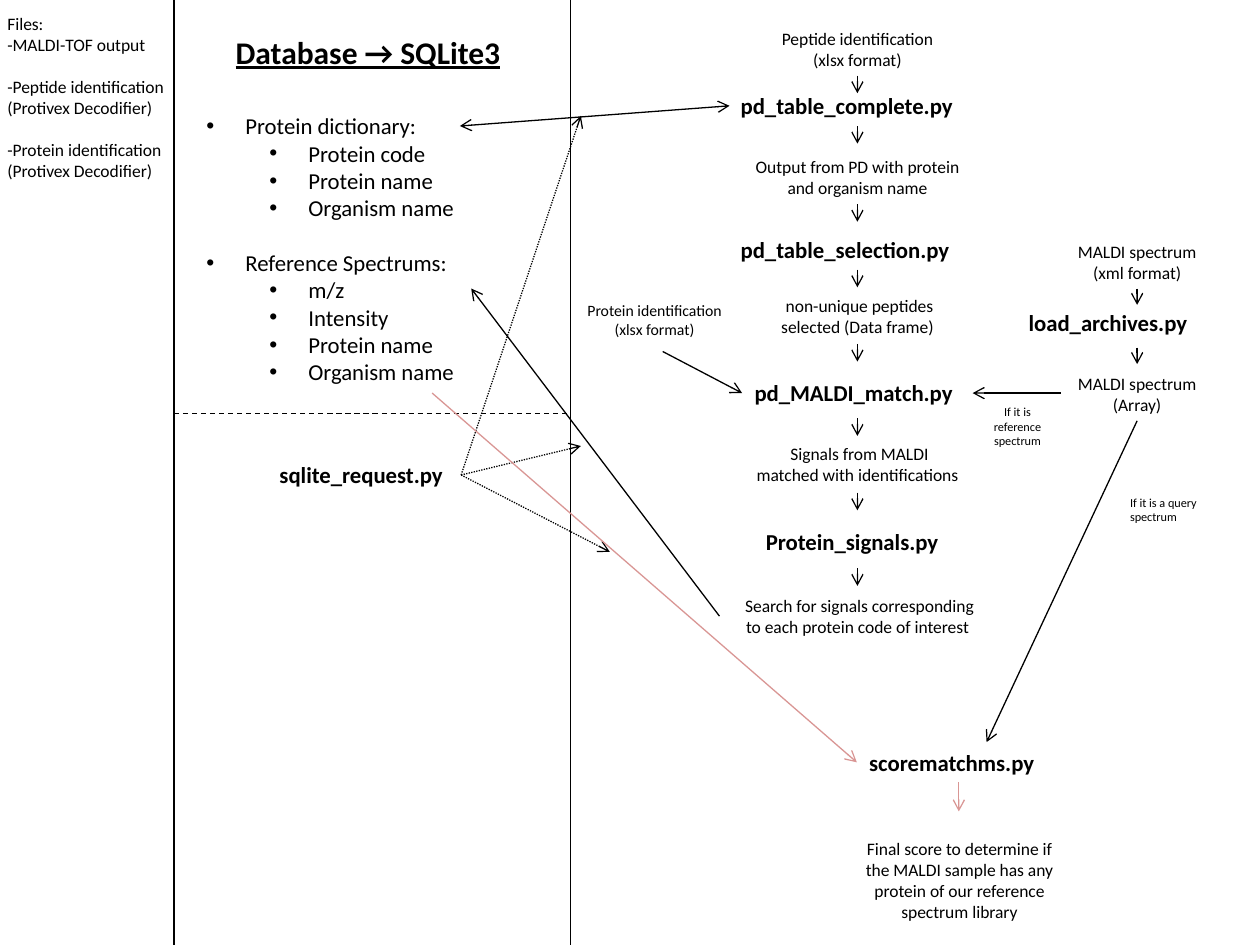
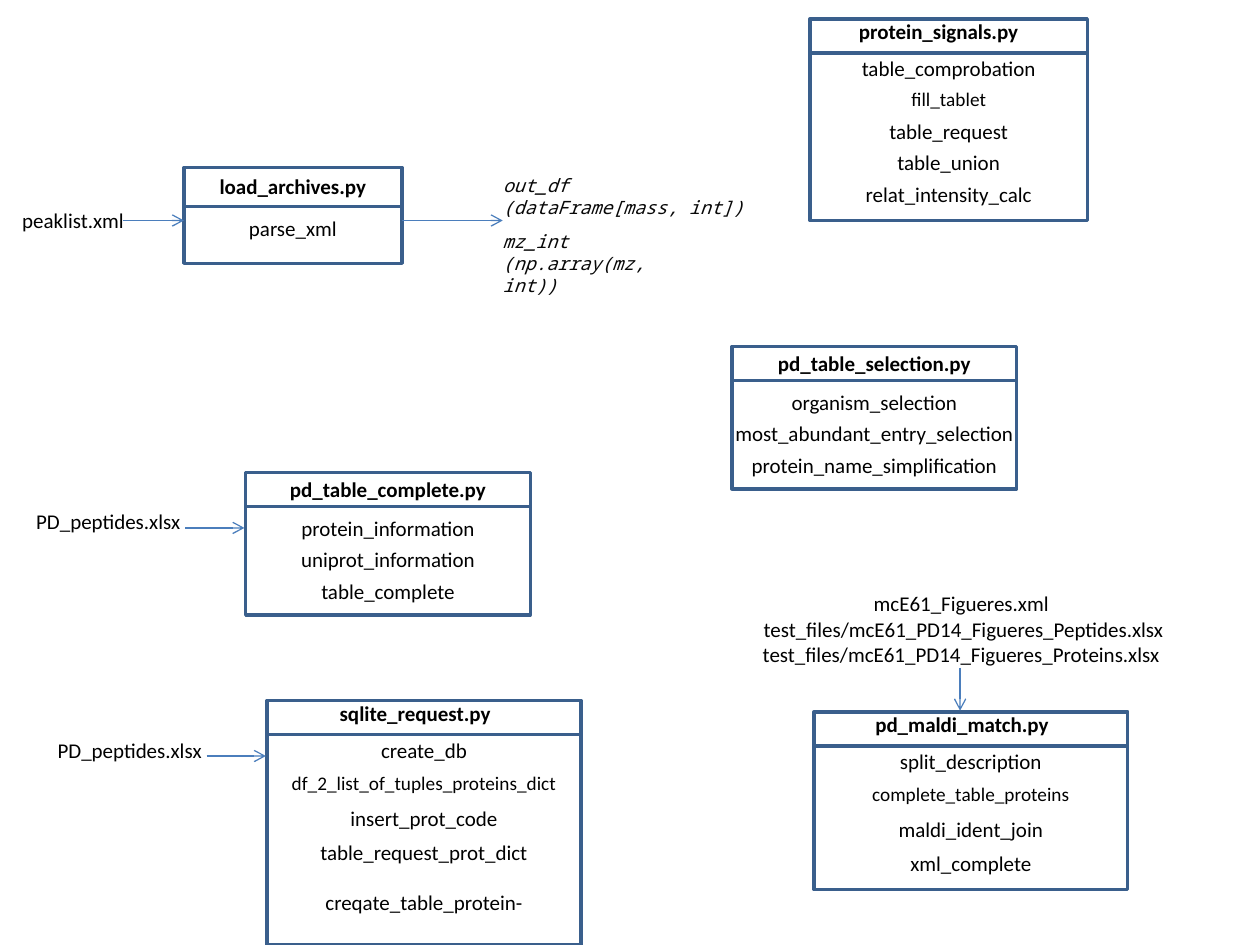
from dataclasses import dataclass
from lxml.etree import SubElement as Sub
from pptx import Presentation
from pptx.dml.color import RGBColor as Rgb
from pptx.enum.dml import MSO_LINE as Dash
from pptx.enum.shapes import MSO_CONNECTOR as Link, MSO_SHAPE as Form
from pptx.enum.text import MSO_ANCHOR as Anchor, MSO_AUTO_SIZE as Fit, PP_ALIGN as Align
from pptx.oxml.ns import qn
from pptx.util import Inches, Pt


@dataclass(frozen=True)
class Style:
    """Look of one kind of text."""
    size: float
    bold: bool = False
    align: Align = Align.CENTER
    face: str = "Calibri"
    hue: str = "000000"
    slant: bool = False


@dataclass(frozen=True)
class Theme:
    """Colours, line widths and type of the deck."""
    ink: str = "000000"
    rose: str = "D99694"
    frame: str = "3A5F8C"
    flow: str = "4B7EBC"
    thin: float = 0.75
    thick: float = 2
    head: Style = Style(18, True, Align.LEFT)
    code: Style = Style(13, True, Align.LEFT)
    item: Style = Style(13, align=Align.LEFT)
    note: Style = Style(10)
    side: Style = Style(10, align=Align.LEFT)
    small: Style = Style(9)
    tiny: Style = Style(7)
    hint: Style = Style(7, align=Align.LEFT)
    title: Style = Style(12, True)
    plain: Style = Style(12)
    less: Style = Style(11)
    mono: Style = Style(10.5, False, Align.LEFT, "Noto Sans Mono", "080808", True)


LOOK = Theme()
WIDE, HIGH = Inches(10), Inches(7.5)
COLS, ROWS = 10, 7.5


def grid(x, y):
    """Turn columns and rows into slide lengths."""
    return round(x * WIDE / COLS), round(y * HIGH / ROWS)


def dress(frame, style):
    """Format every paragraph of a text frame."""
    for para in frame.paragraphs:
        para.alignment = style.align
        for run in para.runs:
            font = run.font
            font.name, font.size = style.face, Pt(style.size)
            font.bold, font.italic = style.bold, style.slant
            font.color.rgb = Rgb.from_string(style.hue)


def label(host, text, style, box, wrap=True, pad=True):
    """Add a text box in grid units and return its frame."""
    x, y, w, h = box
    frame = host.add_textbox(*grid(x, y), *grid(w, h)).text_frame
    frame.word_wrap = wrap
    if not pad:
        frame.margin_left = frame.margin_right = 0
        frame.margin_top = frame.margin_bottom = 0
    frame.text = text
    dress(frame, style)
    return frame


def line(host, start, end, hue=LOOK.ink, dash=None, ends=("tailEnd",)):
    """Add a straight line with open arrowheads at the named ends."""
    link = host.add_connector(Link.STRAIGHT, *grid(*start), *grid(*end))
    link.line.color.rgb = Rgb.from_string(hue)
    link.line.width = Pt(LOOK.thin)
    if dash:
        link.line.dash_style = dash
    props = link._element.spPr
    for tip in ends:
        Sub(props.find(qn("a:ln")), qn("a:" + tip), type="arrow")
    Sub(props, qn("a:effectLst"))


def rect(host, box):
    """Add an outlined, unfilled rectangle."""
    x, y, w, h = box
    shape = host.add_shape(Form.RECTANGLE, *grid(x, y), *grid(w, h))
    shape.shadow.inherit = False
    shape.fill.background()
    shape.line.color.rgb = Rgb.from_string(LOOK.frame)
    shape.line.width = Pt(LOOK.thick)


def bullet(para, level):
    """Give a paragraph a hanging dot at its level."""
    para.level = level
    props = para._p.get_or_add_pPr()
    props.set("marL", str(Inches(0.31 + level * 0.5)))
    props.set("indent", str(-Inches(0.31)))
    Sub(props, qn("a:buFont"), typeface="Arial")
    Sub(props, qn("a:buChar"), char="•")


def heading(slide, text, box):
    """Place and format the slide's title placeholder."""
    x, y, w, h = box
    title = slide.shapes.title
    title.left, title.top = grid(x, y)
    title.width, title.height = grid(w, h)
    frame = title.text_frame
    frame.text = text
    frame.auto_size, frame.vertical_anchor = Fit.NONE, Anchor.TOP
    dress(frame, LOOK.head)
    frame.paragraphs[0].runs[0].font.underline = True


def files(host, box):
    """List the input files in the left pane."""
    x, y, w, h = box
    frame = label(host, "Files:\n-MALDI-TOF output\n"
                  "-Peptide identification (Protivex Decodifier)\n"
                  "-Protein identification (Protivex Decodifier)",
                  LOOK.side, (x - 0.04, y + 0.05, w + 0.12, 1.45))
    for para in frame.paragraphs[2:]:
        para.space_before = Pt(12.2)


def store(slide, box):
    """Fill the database pane and draw its borders."""
    x, y, w, h = box
    host = slide.shapes
    heading(slide, "Database → SQLite3", (x + 0.39, y + 0.21, 2.52, 0.4))
    lists = {
        "Protein dictionary:": ["Protein code", "Protein name", "Organism name"],
        "Reference Spectrums:": ["m/z", "Intensity", "Protein name", "Organism name"],
    }
    rows = [(text, lvl) for top, kids in lists.items()
            for text, lvl in [(top, 0), *((kid, 1) for kid in kids)]]
    frame = label(host, "\n".join(text for text, _ in rows), LOOK.item,
                  (x + 0.16, y + 0.84, 2.76, 2.29))
    for i, (para, (_, lvl)) in enumerate(zip(frame.paragraphs, rows)):
        if i and lvl == 0:
            para.space_before = Pt(15.6)
        bullet(para, lvl)
    label(host, "sqlite_request.py", LOOK.code, (x + 0.74, y + 3.61, 1.54, 0.32))
    for edge in (x, x + w):
        line(host, (edge, y), (edge, y + h), ends=())
    line(host, (x, y + 3.28), (x + w, y + 3.28), dash=Dash.DASH, ends=())


def chain(host, box):
    """Draw the script chain from peptides to protein signals."""
    x, y, w, h = box
    mid = x + w / 2
    steps = [
        ("Peptide identification (xlsx format)", LOOK.note, 0.17, 1.6),
        ("pd_table_complete.py", LOOK.code, 0.68, 2.05),
        ("Output from PD with protein and organism name", LOOK.note, 1.19, 1.83),
        ("pd_table_selection.py", LOOK.code, 1.82, 2.05),
        (" non-unique peptides selected (Data frame)", LOOK.note, 2.29, 1.83),
        ("pd_MALDI_match.py", LOOK.code, 2.96, 1.83),
        (" Signals from MALDI matched with identifications", LOOK.note, 3.47, 1.83),
        ("Protein_signals.py", LOOK.code, 4.14, 1.65),
        (" Search for signals corresponding to each protein code of interest",
         LOOK.note, 4.67, 2.19),
    ]
    for text, style, top, wide in steps:
        tall = 0.32 if style is LOOK.code else 0.44
        label(host, text, style, (mid - wide / 2, y + top, wide, tall))
    for top in (0.6, 1, 1.62, 2.14, 2.73, 3.32, 3.91, 4.51):
        line(host, (mid, y + top), (mid, y + top + 0.14))
    label(host, "Protein identification (xlsx format)", LOOK.small,
          (x - 1.18, y + 2.34, 1.33, 0.4))
    line(host, (x - 0.45, y + 2.79), (x + 0.18, y + 3.12))


def spectra(host, box):
    """Draw the spectrum branch down to the final score."""
    x, y, w, h = box
    mid = x + w / 2
    label(host, "MALDI spectrum\n(xml format)", LOOK.note, (mid - 0.8, y, 1.6, 0.44))
    label(host, "load_archives.py", LOOK.code, (mid - 0.96, y + 0.54, 1.85, 0.32))
    label(host, "MALDI spectrum\n(Array)", LOOK.note, (x, y + 1.05, w, 0.44))
    for top in (0.43, 0.9):
        line(host, (mid, y + top), (mid, y + top + 0.13))
    line(host, (x + 0.31, y + 1.26), (x - 0.39, y + 1.26))
    label(host, "If it is reference spectrum", LOOK.tiny, (x - 0.43, y + 1.3, 0.79, 0.45))
    line(host, (mid, y + 1.48), (x - 0.28, y + 4.03))
    label(host, "If it is a query spectrum", LOOK.hint, (x + 0.76, y + 2.02, 0.79, 0.34))
    label(host, "scorematchms.py", LOOK.code, (x - 1.31, y + 4.03, 2.05, 0.32))
    line(host, (x - 0.5, y + 4.35), (x - 0.5, y + 4.58), LOOK.rose)
    label(host, "Final score to determine if the MALDI sample has any protein "
          "of our reference spectrum library", LOOK.note, (x - 1.41, y + 4.74, w, 0.77))


def links(host):
    """Join the database pane with the scripts."""
    line(host, (3.65, 1), (5.79, 0.84), ends=("headEnd", "tailEnd"))
    for end in ((4.61, 0.92), (4.61, 3.54), (4.84, 4.38)):
        line(host, (3.66, 3.77), end, dash=Dash.ROUND_DOT)
    line(host, (5.71, 4.89), (3.74, 2.29))
    line(host, (3.43, 3.12), (6.8, 6.05), LOOK.rose)


def card(slide, box, title, funcs, cap=0.27, lead=0.02, drop=0, pitch=0.25,
         skew=0, minor=None, last=0):
    """Draw a script card: a name band over evenly spaced functions."""
    x, y, w, h = box
    host = slide.shapes.add_group_shape().shapes
    rect(host, (x, y, w, cap))
    rect(host, (x, y + cap, w, h - cap))
    label(host, title, LOOK.title, (x, y + drop, w - skew, 0.2), False, False)
    for i, func in enumerate(funcs):
        top = y + cap + lead + i * pitch
        if i == len(funcs) - 1:
            top += last
        style = LOOK.less if func == minor else LOOK.plain
        label(host, func, style, (x, top, w, 0.2), False, False)


def feed(host, text, box, start, end):
    """Add an input label with its arrow."""
    label(host, text, LOOK.plain, box, False, False)
    line(host, start, end, LOOK.flow)


def overview(deck):
    """Build the slide with the whole workflow."""
    slide = deck.slides.add_slide(deck.slide_layouts[5])
    host = slide.shapes
    files(host, (0, 0, 1.38, ROWS))
    store(slide, (1.38, 0, 3.15, ROWS))
    chain(host, (5.71, 0, 2.19, 5.11))
    spectra(host, (8.11, 1.86, 1.83, 5.51))
    links(host)


def scripts(deck):
    """Build the slide with the functions of each script."""
    slide = deck.slides.add_slide(deck.slide_layouts[6])
    host = slide.shapes
    card(slide, (1.46, 1.33, 1.73, 0.76), "load_archives.py", ["parse_xml"],
         cap=0.31, lead=0.07, drop=0.05)
    card(slide, (1.95, 3.75, 2.26, 1.13), "pd_table_complete.py",
         ["protein_information", "uniprot_information", "table_complete"],
         lead=0.07, drop=0.03)
    card(slide, (5.81, 2.75, 2.26, 1.13), "pd_table_selection.py",
         ["organism_selection", "most_abundant_entry_selection",
          "protein_name_simplification"], lead=0.07, drop=0.03)
    card(slide, (2.12, 5.56, 2.49, 1.94), "sqlite_request.py",
         ["create_db", "df_2_list_of_tuples_proteins_dict", "insert_prot_code",
          "table_request_prot_dict", "creqate_table_protein-"],
         pitch=0.27, skew=0.14, minor="df_2_list_of_tuples_proteins_dict", last=0.13)
    card(slide, (6.46, 5.65, 2.49, 1.41), "pd_maldi_match.py",
         ["split_description", "complete_table_proteins", "maldi_ident_join",
          "xml_complete"], pitch=0.27, skew=0.14, minor="complete_table_proteins")
    card(slide, (6.43, 0.15, 2.2, 1.6), "protein_signals.py",
         ["table_comprobation", "fill_tablet", "table_request", "table_union",
          "relat_intensity_calc"], skew=0.16, minor="fill_tablet")
    feed(host, "peaklist.xml", (0.17, 1.65, 0.82, 0.2), (0.98, 1.75), (1.46, 1.75))
    for x, y in ((0.28, 4.04), (0.45, 5.85)):
        feed(host, "PD_peptides.xlsx", (x, y, 1.16, 0.2),
             (x + 1.19, y + 0.15), (x + 1.66, y + 0.15))
    feed(host, "mcE61_Figueres.xml\n test_files/mcE61_PD14_Figueres_Peptides.xlsx\n"
         "test_files/mcE61_PD14_Figueres_Proteins.xlsx",
         (6, 4.69, 3.26, 0.61), (7.62, 5.3), (7.62, 5.64))
    line(host, (3.19, 1.75), (3.99, 1.75), LOOK.flow)
    frame = label(host, "out_df (dataFrame[mass, int])", LOOK.mono,
                  (3.99, 1.47, 1.95, 0.18), pad=False)
    frame.vertical_anchor = Anchor.MIDDLE
    label(host, "mz_int (np.array(mz, int))", LOOK.mono,
          (3.99, 1.83, 1.63, 0.18), pad=False)


def main():
    """Build and save the deck."""
    deck = Presentation()
    deck.slide_width, deck.slide_height = WIDE, HIGH
    overview(deck)
    scripts(deck)
    deck.save("out.pptx")


main()
